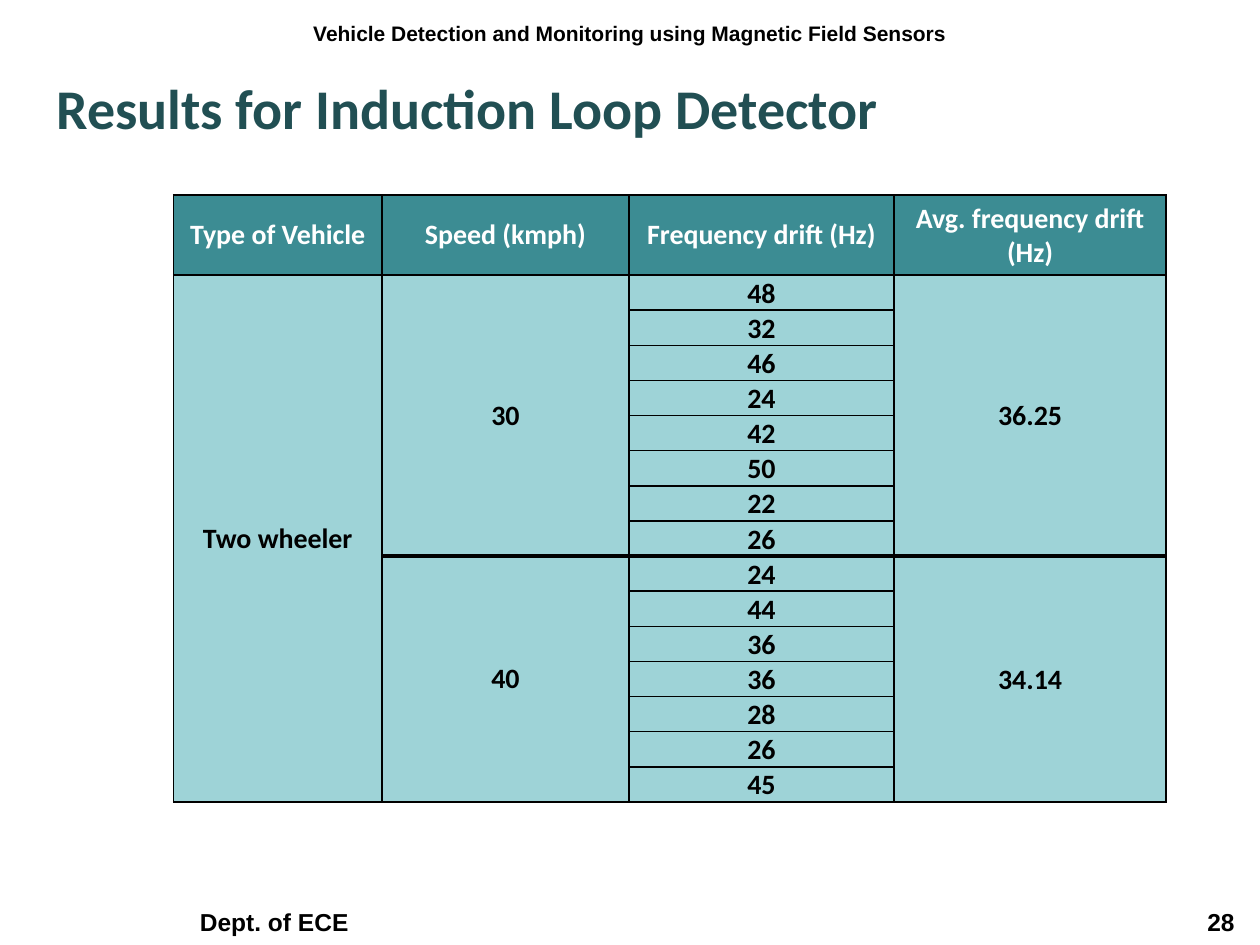
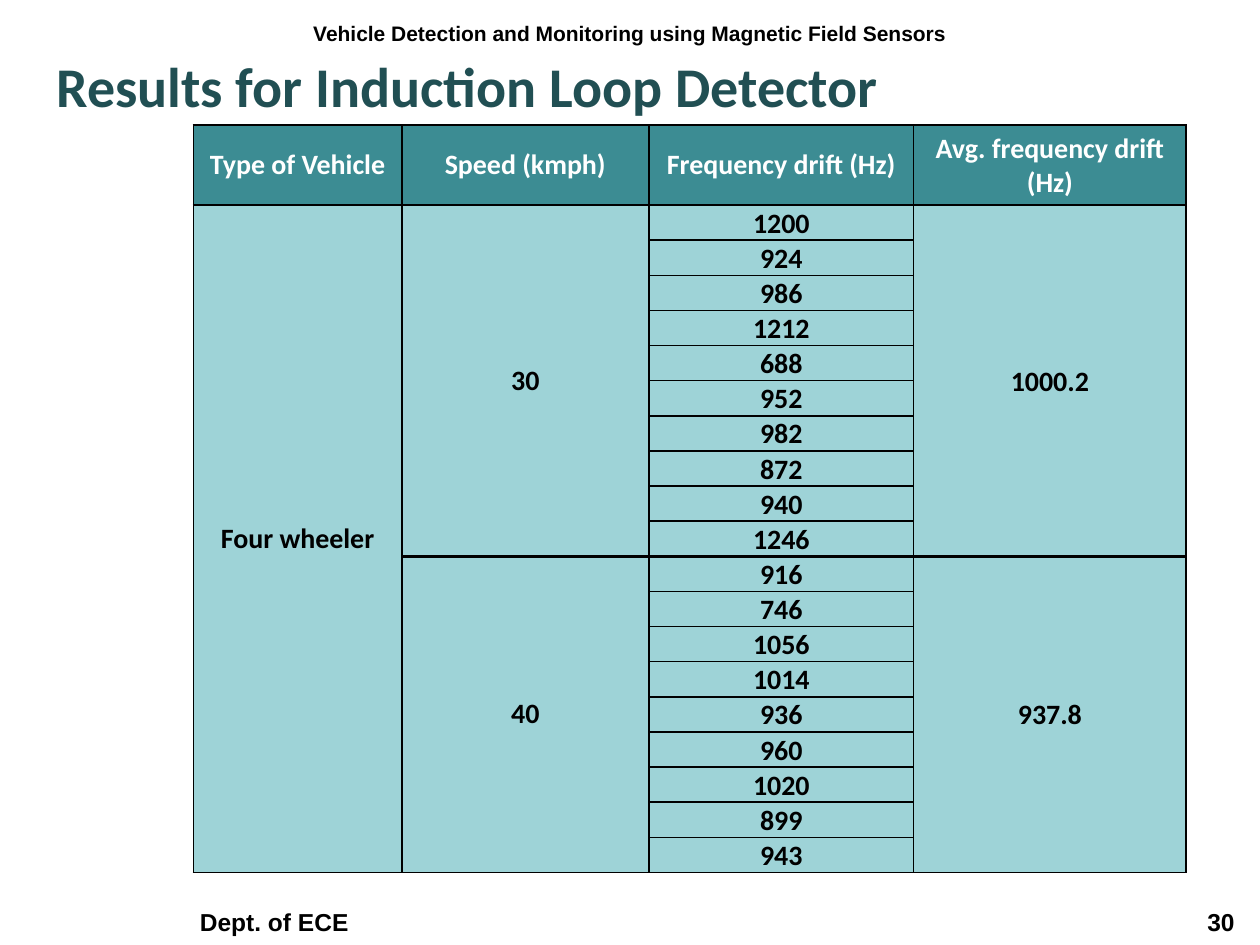
from lxml import etree
from pptx import Presentation
from pptx import util as u
from pptx.dml import color
from pptx.enum import text
from pptx.oxml import ns

BLACK = color.RGBColor(0x00, 0x00, 0x00)
WHITE = color.RGBColor(0xFF, 0xFF, 0xFF)
DARK_TEAL = color.RGBColor(0x21, 0x4F, 0x53)
TEAL = color.RGBColor(0x3C, 0x8C, 0x93)
PALE_TEAL = color.RGBColor(0x9E, 0xD3, 0xD7)

TOPIC = "Vehicle Detection and Monitoring using Magnetic Field Sensors"
TITLE = "Results for Induction Loop Detector"
DEPARTMENT = "Dept. of ECE"
HEADINGS = ["Type of Vehicle", "Speed (kmph)", "Frequency drift (Hz)",
            "Avg. frequency drift (Hz)"]

SLIDE_W, SLIDE_H = u.Cm(25.4), u.Cm(19.05)
COL_WIDTHS = [u.Cm(w) for w in (4.2, 4.98, 5.34, 5.49)]
HEADER_H, ROW_H = u.Cm(1.6), u.Cm(0.7)
THIN, THICK = u.Pt(1), u.Pt(2.25)

TOPIC_FONT = {"name": "Arial", "size": u.Pt(12), "bold": True}
FOOTER_FONT = {"name": "Arial", "size": u.Pt(14), "bold": True}
TITLE_FONT = {"name": "Calibri", "size": u.Pt(32), "bold": True}
CELL_FONT = {"name": "Calibri", "size": u.Pt(16), "bold": True}
TIGHT = {"margin_left": u.Cm(0.03), "margin_right": u.Cm(0.03),
         "margin_top": u.Cm(0.03), "margin_bottom": 0}
ROOMY = {"margin_left": u.Cm(0.25), "margin_right": u.Cm(0.25),
         "margin_top": u.Cm(0.13), "margin_bottom": u.Cm(0.13)}

RESULTS = [
    {"number": 28, "title_top": u.Cm(1.35), "left": u.Cm(3.5), "top": u.Cm(3.93),
     "vehicle": "Two wheeler",
     "runs": [("30", [48, 32, 46, 24, 42, 50, 22, 26], "36.25"),
              ("40", [24, 44, 36, 36, 28, 26, 45], "34.14")]},
    {"number": 30, "title_top": u.Cm(0.91), "left": u.Cm(3.9), "top": u.Cm(2.52),
     "vehicle": "Four wheeler",
     "runs": [("30", [1200, 924, 986, 1212, 688, 952, 982, 872, 940, 1246], "1000.2"),
              ("40", [916, 746, 1056, 1014, 936, 960, 1020, 899, 943], "937.8")]},
]


def apply(obj, values):
    for name, value in values.items():
        setattr(obj, name, value)


def write(tf, words, font, rgb, **para):
    p = tf.paragraphs[0]
    apply(p, para)
    r = p.add_run()
    r.text = words
    apply(r.font, font)
    r.font.color.rgb = rgb
    return p


def add_text(s, box, words, font, rgb=BLACK, frame=None, **para):
    tf = s.shapes.add_textbox(*box).text_frame
    apply(tf, {"word_wrap": True, **ROOMY, **(frame or {})})
    return write(tf, words, font, rgb, **para)


def add_right_tab(p, position):
    tabs = etree.SubElement(p._p.get_or_add_pPr(), ns.qn("a:tabLst"))
    etree.SubElement(tabs, ns.qn("a:tab"), pos=str(position), algn="r")


def add_frame(s, number, title_top):
    p = add_text(s, (0, u.Cm(17.98), SLIDE_W, u.Cm(1.02)),
                 f"{DEPARTMENT}\t{number}", FOOTER_FONT,
                 frame={"margin_left": u.Cm(4.03),
                        "vertical_anchor": text.MSO_ANCHOR.BOTTOM})
    add_right_tab(p, u.Cm(20.86))
    add_text(s, (0, u.Cm(0.28), SLIDE_W, u.Cm(1.02)), TOPIC, TOPIC_FONT,
             alignment=text.PP_ALIGN.CENTER, space_before=u.Pt(2.4))
    add_text(s, (u.Cm(0.89), title_top, u.Cm(23.93), u.Cm(1.7)), TITLE,
             TITLE_FONT, DARK_TEAL, space_before=u.Pt(2))


def set_borders(cell, top, bottom):
    tc_pr = cell._tc.get_or_add_tcPr()
    for side, width in (("L", THIN), ("R", THIN), ("T", top), ("B", bottom)):
        ln = etree.SubElement(tc_pr, ns.qn(f"a:ln{side}"), w=str(width))
        fill = etree.SubElement(ln, ns.qn("a:solidFill"))
        etree.SubElement(fill, ns.qn("a:srgbClr"), val=str(BLACK))


def fill_cell(cell, words, rgb=BLACK, margins=ROOMY, anchor=text.MSO_ANCHOR.MIDDLE):
    apply(cell, {**margins, "vertical_anchor": anchor})
    write(cell.text_frame, words, CELL_FONT, rgb, alignment=text.PP_ALIGN.CENTER)


def style_grid(table, split):
    for row in range(len(table.rows)):
        for col in range(len(COL_WIDTHS)):
            cell = table.cell(row, col)
            divided = col > 0
            ends_first = row == split or (row == 1 and col in (1, 3))
            set_borders(cell,
                        THICK if divided and row == split + 1 else THIN,
                        THICK if divided and ends_first else THIN)
            cell.fill.solid()
            cell.fill.fore_color.rgb = PALE_TEAL if row else TEAL


def add_results(s, left, top, vehicle, runs):
    count = sum(len(drifts) for _, drifts, _ in runs)
    table = s.shapes.add_table(count + 1, len(COL_WIDTHS), left, top,
                               sum(COL_WIDTHS), HEADER_H + count * ROW_H).table
    apply(table, {"first_row": False, "horz_banding": False})
    for column, width in zip(table.columns, COL_WIDTHS):
        column.width = width
    for i, row in enumerate(table.rows):
        row.height = ROW_H if i else HEADER_H
    style_grid(table, len(runs[0][1]))

    for col, heading in enumerate(HEADINGS):
        fill_cell(table.cell(0, col), heading, WHITE)
    table.cell(1, 0).merge(table.cell(count, 0))
    fill_cell(table.cell(1, 0), vehicle)
    first = 1
    for speed, drifts, average in runs:
        last = first + len(drifts) - 1
        for col, words, margins in ((1, speed, ROOMY), (3, average, TIGHT)):
            table.cell(first, col).merge(table.cell(last, col))
            fill_cell(table.cell(first, col), words, margins=margins)
        for row, drift in enumerate(drifts, first):
            fill_cell(table.cell(row, 2), str(drift), margins=TIGHT,
                      anchor=text.MSO_ANCHOR.BOTTOM)
        first = last + 1


def main():
    prs = Presentation()
    apply(prs, {"slide_width": SLIDE_W, "slide_height": SLIDE_H})
    for result in RESULTS:
        s = prs.slides.add_slide(prs.slide_layouts[6])
        add_frame(s, result["number"], result["title_top"])
        add_results(s, result["left"], result["top"], result["vehicle"], result["runs"])
    prs.save("out.pptx")


if __name__ == "__main__":
    main()
